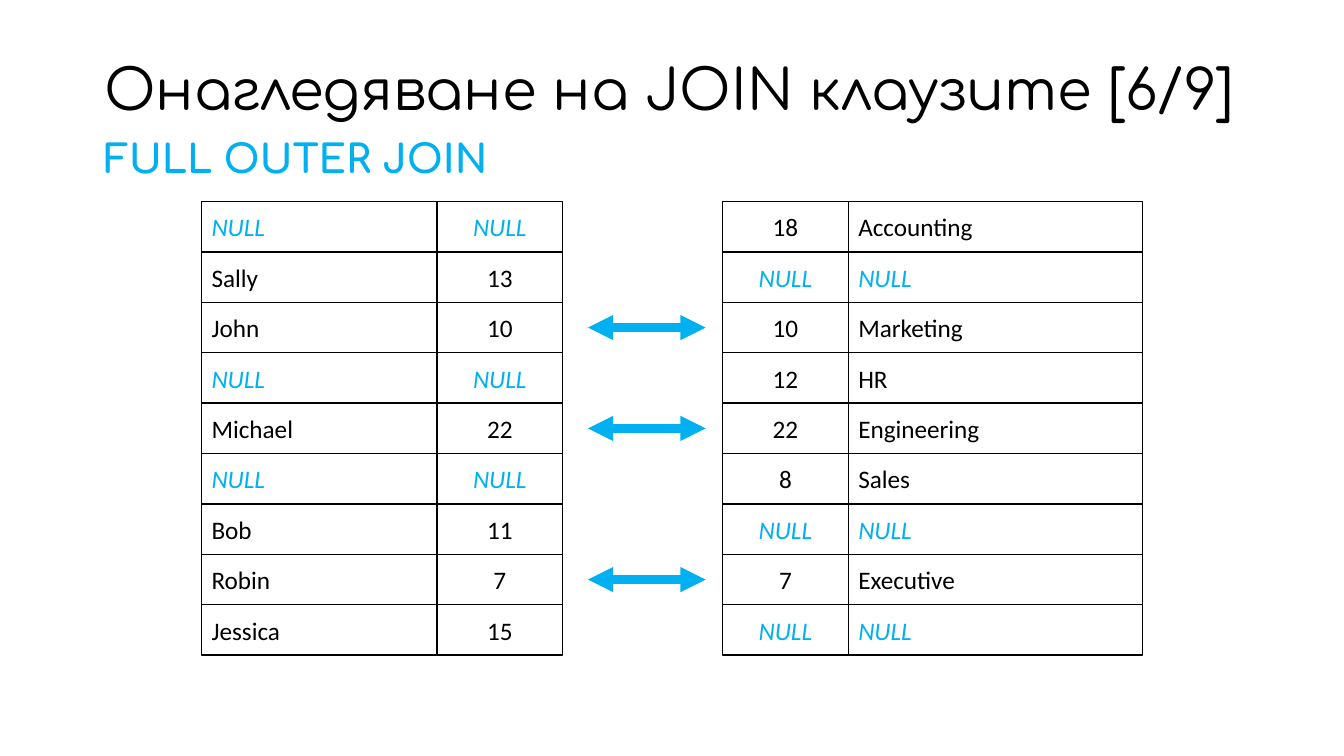
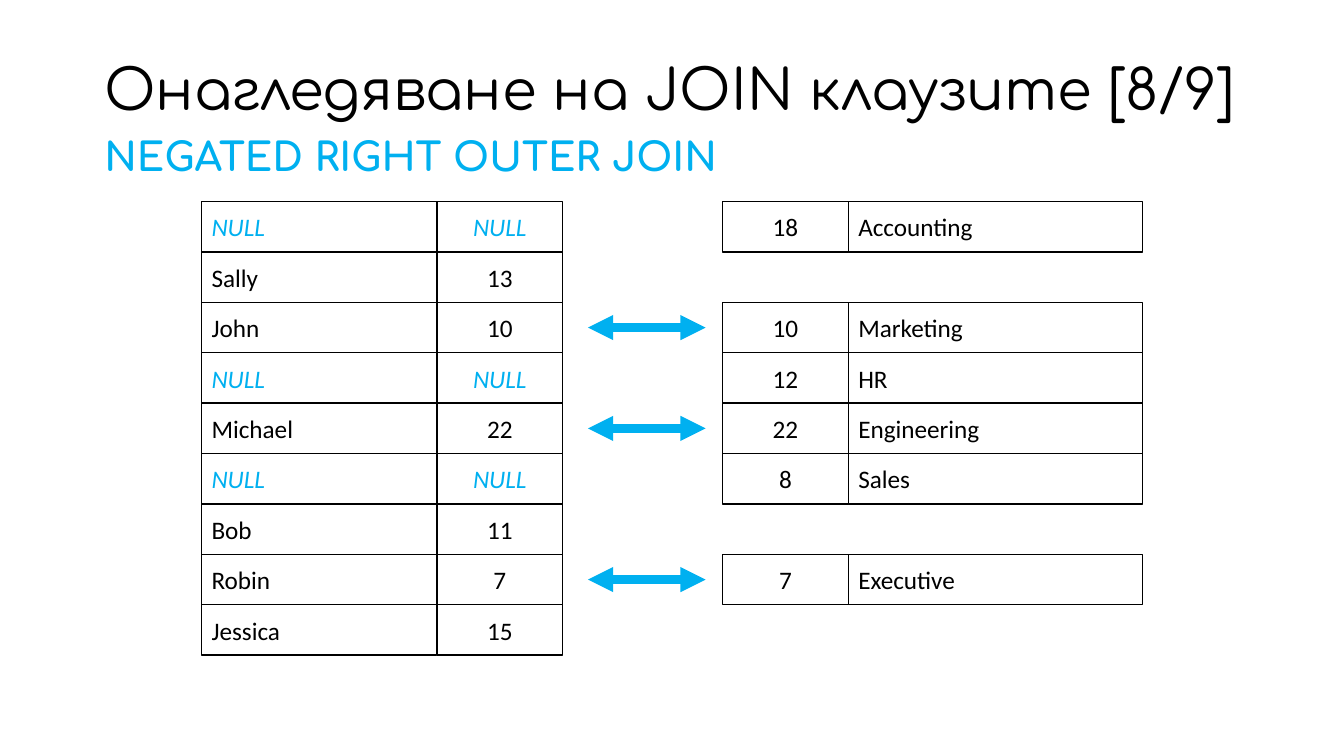
from dataclasses import dataclass

from pptx import Presentation
from pptx.dml.color import RGBColor
from pptx.enum.shapes import MSO_CONNECTOR, MSO_SHAPE
from pptx.enum.text import MSO_ANCHOR, PP_ALIGN
from pptx.oxml import parse_xml
from pptx.oxml.ns import nsdecls, qn
from pptx.util import Pt

LEFT, CENTER = PP_ALIGN.LEFT, PP_ALIGN.CENTER
TOP, MIDDLE = MSO_ANCHOR.TOP, MSO_ANCHOR.MIDDLE
STRAIGHT, RECTANGLE = MSO_CONNECTOR.STRAIGHT, MSO_SHAPE.RECTANGLE


@dataclass(frozen=True)
class Theme:
    ink: RGBColor = RGBColor.from_string("000000")
    accent: RGBColor = RGBColor.from_string("00B0F0")
    heading_font: str = "Comfortaa"
    cell_font: str = "Calibri"
    title_size: int = 40
    subtitle_size: int = 28
    cell_size: int = 18
    border: int = 1
    arrow: int = 6


THEME = Theme()

ROW_H, GRID_TOP = 36, 144
NULL = "NULL"
EMPTY = (NULL, NULL)
EMPLOYEES = [EMPTY, ("Sally", "13"), ("John", "10"), EMPTY, ("Michael", "22"),
             EMPTY, ("Bob", "11"), ("Robin", "7"), ("Jessica", "15")]
DEPARTMENTS = [("18", "Accounting"), EMPTY, ("10", "Marketing"), ("12", "HR"),
               ("22", "Engineering"), ("8", "Sales"), EMPTY, ("7", "Executive"), EMPTY]
# Left edge, width and alignment of each column
EMPLOYEE_COLUMNS = [(144, 168, LEFT), (312, 90, CENTER)]
DEPARTMENT_COLUMNS = [(516, 90, CENTER), (606, 210, LEFT)]
ARROW_LEFT, ARROW_RIGHT = 420, 504

# Page mark, join name, top of the join name, whether unmatched departments show
SLIDES = [("[6/9]", "FULL OUTER JOIN", 96.5, True),
          ("[8/9]", "NEGATED RIGHT OUTER JOIN", 95, False)]


def add_run(p, text, font, size, color, bold=False, italic=False):
    r = p.add_run()
    r.text = text
    r.font.name, r.font.size = font, Pt(size)
    r.font.bold, r.font.italic = bold, italic
    r.font.color.rgb = color


def add_row(s, columns, top, values):
    """Draw one outlined cell per column, with NULL values in the accent colour."""
    for (left, width, align), text in zip(columns, values):
        cell = s.shapes.add_shape(RECTANGLE, Pt(left), Pt(top), Pt(width), Pt(ROW_H))
        cell.shadow.inherit = False
        cell.fill.background()
        cell.line.width = Pt(THEME.border)
        cell.line.color.rgb = THEME.ink
        tf = cell.text_frame
        tf.word_wrap = True
        tf.vertical_anchor = MIDDLE
        p = tf.paragraphs[0]
        p.alignment = align
        is_null = text == NULL
        add_run(p, text, THEME.cell_font, THEME.cell_size,
                THEME.accent if is_null else THEME.ink, italic=is_null)


prs = Presentation()
prs.slide_width, prs.slide_height = Pt(960), Pt(540)

for page, join, join_top, show_unmatched in SLIDES:
    s = prs.slides.add_slide(prs.slide_layouts[6])

    headings = [
        (f"Онагледяване на JOIN клаузите {page}", 13.5, 856, 104.5, MIDDLE,
         THEME.title_size, THEME.ink, False),
        (join, join_top, 828, 342.5, TOP, THEME.subtitle_size, THEME.accent, True),
    ]
    for text, top, width, height, anchor, size, color, bold in headings:
        tf = s.shapes.add_textbox(Pt(67.5), Pt(top), Pt(width), Pt(height)).text_frame
        tf.word_wrap = True
        tf.vertical_anchor = anchor
        p = tf.paragraphs[0]
        p.line_spacing = 0.9
        add_run(p, text, THEME.heading_font, size, color, bold)

    for i, (employee, department) in enumerate(zip(EMPLOYEES, DEPARTMENTS)):
        top = GRID_TOP + i * ROW_H
        add_row(s, EMPLOYEE_COLUMNS, top, employee)
        if show_unmatched or department != EMPTY:
            add_row(s, DEPARTMENT_COLUMNS, top, department)

        if employee[1] == department[0]:
            y = Pt(top + ROW_H / 2)
            arrow = s.shapes.add_connector(STRAIGHT, Pt(ARROW_LEFT), y, Pt(ARROW_RIGHT), y)
            arrow.line.width = Pt(THEME.arrow)
            arrow.line.color.rgb = THEME.accent
            spPr = arrow._element.spPr
            for end in ("headEnd", "tailEnd"):
                spPr.find(qn("a:ln")).append(
                    parse_xml(f'<a:{end} {nsdecls("a")} type="triangle"/>'))
            spPr.append(parse_xml(f'<a:effectLst {nsdecls("a")}/>'))

prs.save("out.pptx")
